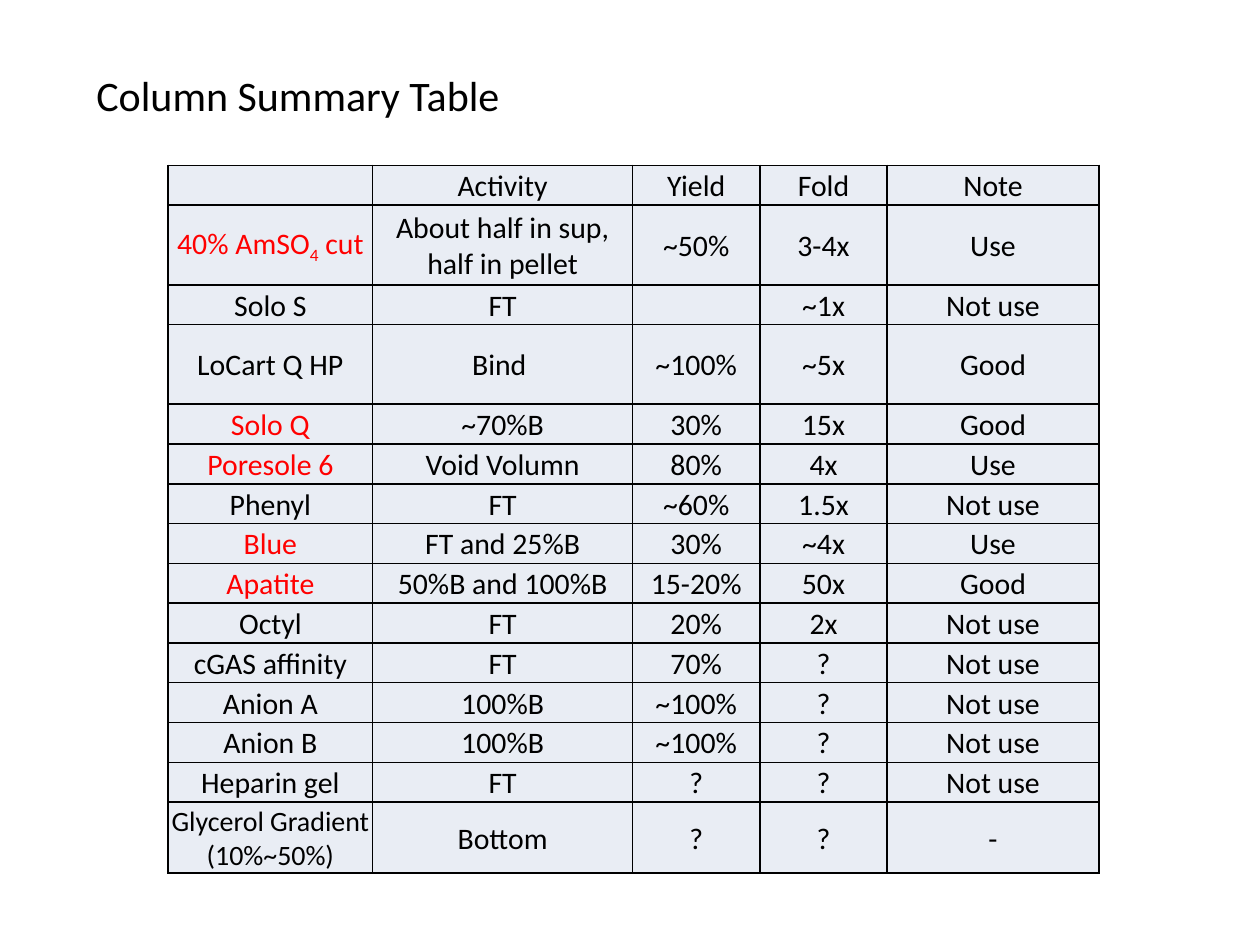
from dataclasses import dataclass

from lxml import etree
from pptx import Presentation
from pptx.dml.color import RGBColor
from pptx.enum import text
from pptx.oxml import ns
from pptx.util import Pt


@dataclass(frozen=True)
class Theme:
    font: str = "Calibri"
    ink: RGBColor = RGBColor(0, 0, 0)
    accent: RGBColor = RGBColor(255, 0, 0)
    cell: RGBColor = RGBColor(0xE9, 0xED, 0xF4)
    title_size: int = 24
    body_size: int = 17
    small_size: int = 16


THEME = Theme()
COLUMN_WIDTHS = [117, 148.5, 72.75, 72.75, 121]
LINE_HEIGHT = 22.75
SPECIAL_HEIGHTS = {1: 2 * LINE_HEIGHT, 3: 2 * LINE_HEIGHT, 14: 39.6}
ACCENTED = {"40% AmSO4 cut", "Solo Q", "Poresole 6", "Blue", "Apatite"}
GRADIENT = "Glycerol Gradient (10%~50%)"

ROWS = [
    ("", "Activity", "Yield", "Fold", "Note"),
    ("40% AmSO4 cut", "About half in sup, half in pellet", "~50%", "3-4x", "Use"),
    ("Solo S", "FT", "", "~1x", "Not use"),
    ("LoCart Q HP", "Bind ", "~100%", "~5x", "Good"),
    ("Solo Q", "~70%B", "30%", "15x", "Good"),
    ("Poresole 6", "Void Volumn", "80%", "4x", "Use"),
    ("Phenyl", "FT", "~60%", "1.5x", "Not use"),
    ("Blue", "FT and 25%B", "30%", "~4x", "Use"),
    ("Apatite", "50%B and 100%B", "15-20%", "50x", "Good"),
    ("Octyl", "FT", "20%", "2x", "Not use"),
    ("cGAS affinity", "FT", "70%", "?", "Not use"),
    ("Anion A", "100%B", "~100%", "?", "Not use"),
    ("Anion B", "100%B", "~100%", "?", "Not use"),
    ("Heparin gel", "FT", "?", "?", "Not use"),
    (GRADIENT, "Bottom", "?", "?", "-"),
]


def set_font(font, size, color):
    font.name = THEME.font
    font.size = Pt(size)
    font.color.rgb = color


def add_borders(cell):
    """Draw a thin line on all four sides; must run before the cell is filled."""
    properties = cell._tc.get_or_add_tcPr()
    for side in ("a:lnL", "a:lnR", "a:lnT", "a:lnB"):
        line = etree.SubElement(properties, ns.qn(side), w=str(Pt(1)))
        fill = etree.SubElement(line, ns.qn("a:solidFill"))
        etree.SubElement(fill, ns.qn("a:srgbClr"), val=str(THEME.ink))


deck = Presentation()
deck.slide_width, deck.slide_height = Pt(720), Pt(540)
page = deck.slides.add_slide(deck.slide_layouts[6])

heights = [SPECIAL_HEIGHTS.get(i, LINE_HEIGHT) for i in range(len(ROWS))]
frame = page.shapes.add_table(len(ROWS), len(COLUMN_WIDTHS), Pt(96), Pt(94.5),
                              Pt(sum(COLUMN_WIDTHS)), Pt(sum(heights)))
table = frame.table
table.first_row = table.horz_banding = False
for column, width in zip(table.columns, COLUMN_WIDTHS):
    column.width = Pt(width)
for row, height, entries in zip(table.rows, heights, ROWS):
    row.height = Pt(height)
    for cell, entry in zip(row.cells, entries):
        add_borders(cell)
        cell.fill.solid()
        cell.fill.fore_color.rgb = THEME.cell
        cell.margin_left = cell.margin_right = Pt(1.5)
        cell.margin_top = Pt(1.5 if entry else 0)
        cell.margin_bottom = 0
        cell.vertical_anchor = text.MSO_ANCHOR.MIDDLE
        para = cell.text_frame.paragraphs[0]
        para.alignment = text.PP_ALIGN.CENTER
        set_font(para.font,
                 THEME.small_size if entry == GRADIENT else THEME.body_size,
                 THEME.accent if entry in ACCENTED else THEME.ink)
        before, subscript, after = entry.partition("SO4")
        if subscript:
            para.add_run().text = before + "SO"
            span = para.add_run()
            span.text = "4"
            span._r.get_or_add_rPr().set("baseline", "-25000")
            para.add_run().text = after
        elif entry:
            para.add_run().text = entry

box = page.shapes.add_textbox(Pt(48), Pt(36), Pt(318), Pt(36.5))
box.text_frame.word_wrap = True
box.text_frame.auto_size = text.MSO_AUTO_SIZE.SHAPE_TO_FIT_TEXT
title = box.text_frame.paragraphs[0]
title.text = "Column Summary Table"
set_font(title.font, THEME.title_size, THEME.ink)

deck.save("out.pptx")
